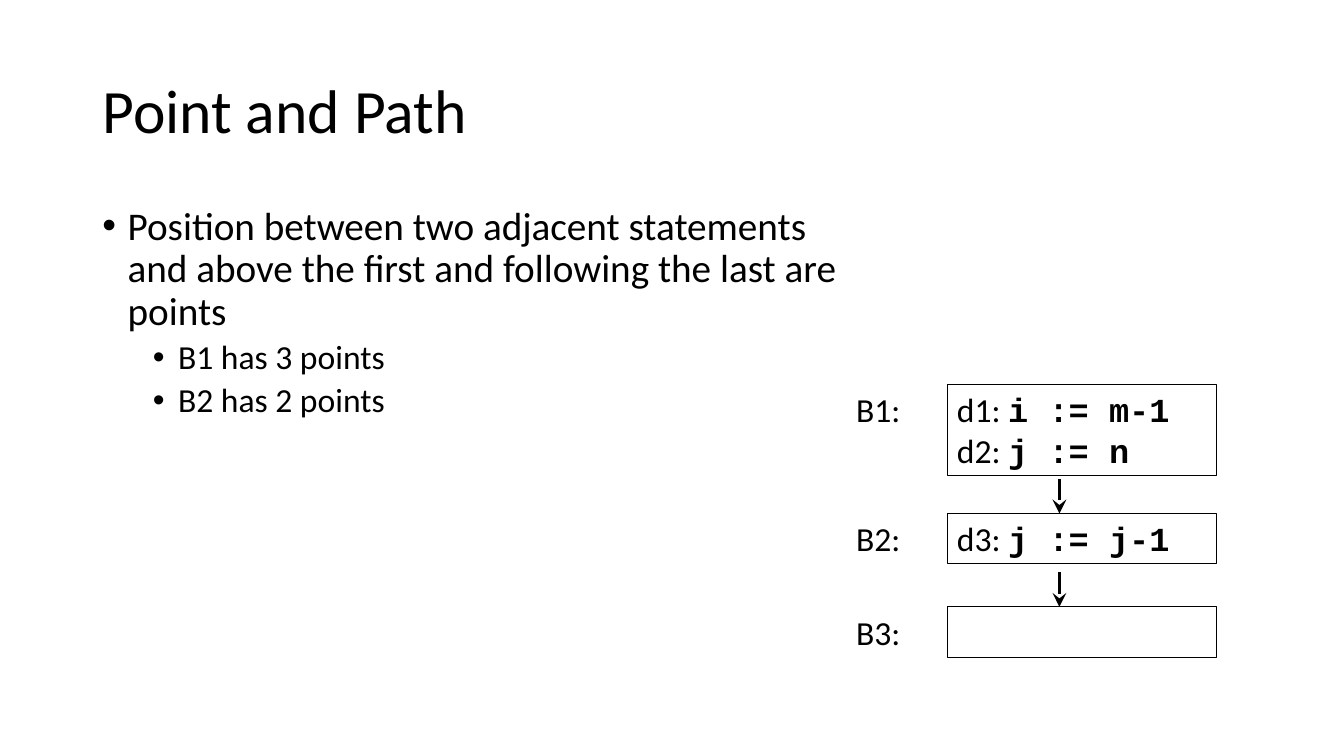
from dataclasses import dataclass

from lxml import etree
from pptx import Presentation
from pptx.dml.color import RGBColor
from pptx.enum.shapes import MSO_CONNECTOR, MSO_SHAPE
from pptx.enum.text import MSO_ANCHOR, MSO_AUTO_SIZE, PP_ALIGN
from pptx.oxml.ns import qn
from pptx.slide import Slide
from pptx.text.text import TextFrame
from pptx.util import Emu, Pt

STRAIGHT = MSO_CONNECTOR.STRAIGHT
RECTANGLE = MSO_SHAPE.RECTANGLE
TOP, MIDDLE = MSO_ANCHOR.TOP, MSO_ANCHOR.MIDDLE
NO_FIT, GROW = MSO_AUTO_SIZE.NONE, MSO_AUTO_SIZE.SHAPE_TO_FIT_TEXT
LEFT = PP_ALIGN.LEFT

BLACK = RGBColor(0x00, 0x00, 0x00)
TEXT_FONT, CODE_FONT = "Calibri", "Courier New"

EMU_PER_PX = 9525
LABEL_LEFT, LABEL_WIDTH, LABEL_HEIGHT = 806, 68, 48
BOX_LEFT, BOX_WIDTH = 902, 257
ARROW_X, ARROW_LENGTH = 1009, 33


@dataclass(frozen=True)
class Bullet:
    text: str
    level: int
    size: int
    space_before: int
    indent: int


@dataclass(frozen=True)
class Block:
    label: str
    top: int
    height: int
    statements: tuple[tuple[str, str], ...] = ()


BULLETS = (
    Bullet("Position between two adjacent statements and above the first "
           "and following the last are points", 0, 28, 10, 24),
    Bullet("B1 has 3 points", 1, 24, 5, 72),
    Bullet("B2 has 2 points", 1, 24, 5, 72),
)
BLOCKS = (
    Block("B1:", 366, 87, (("d1: ", "i := m-1"), ("d2: ", "j := n"))),
    Block("B2:", 489, 48, (("d3: ", "j := j-1"),)),
    Block("B3:", 578, 48),
)


def px(length: int) -> Emu:
    return Emu(length * EMU_PER_PX)


def set_attributes(target: object, values: dict) -> None:
    for name, value in values.items():
        setattr(target, name, value)


def place(shape: object, left: int, top: int, width: int, height: int) -> None:
    set_attributes(shape, {"left": px(left), "top": px(top),
                           "width": px(width), "height": px(height)})


def add_run(paragraph: object, text: str, size: int,
            name: str = TEXT_FONT, bold: bool = False) -> None:
    run = paragraph.add_run()
    run.text = text
    set_attributes(run.font, {"name": name, "size": Pt(size), "bold": bold})
    run.font.color.rgb = BLACK


def fill_title(slide: Slide) -> None:
    title = slide.shapes.title
    place(title, 88, 39, 1104, 139)
    set_attributes(title.text_frame, {"vertical_anchor": MIDDLE, "auto_size": NO_FIT})
    paragraph = title.text_frame.paragraphs[0]
    set_attributes(paragraph, {"alignment": LEFT, "line_spacing": 0.9})
    add_run(paragraph, "Point and Path", 44)


def add_bullet(frame: TextFrame, bullet: Bullet, first: bool) -> None:
    paragraph = frame.paragraphs[0] if first else frame.add_paragraph()
    set_attributes(paragraph, {"level": bullet.level, "line_spacing": 0.9,
                               "space_before": Pt(bullet.space_before)})
    properties = paragraph._p.get_or_add_pPr()
    properties.set("marL", str(px(bullet.indent)))
    properties.set("indent", str(px(-24)))
    etree.SubElement(properties, qn("a:buFont")).set("typeface", "Arial")
    etree.SubElement(properties, qn("a:buChar")).set("char", "•")
    add_run(paragraph, bullet.text, bullet.size)


def fill_body(slide: Slide) -> None:
    body = slide.placeholders[1]
    place(body, 88, 192, 718, 457)
    set_attributes(body.text_frame, {"vertical_anchor": TOP, "auto_size": NO_FIT})
    for index, bullet in enumerate(BULLETS):
        add_bullet(body.text_frame, bullet, index == 0)


def add_box(slide: Slide, block: Block) -> None:
    box = slide.shapes.add_shape(RECTANGLE, px(BOX_LEFT), px(block.top),
                                 px(BOX_WIDTH), px(block.height))
    box.shadow.inherit = False
    box.fill.background()
    box.line.color.rgb = BLACK
    box.line.width = Pt(0.75)
    if not block.statements:
        return
    set_attributes(box.text_frame, {"word_wrap": True, "vertical_anchor": TOP,
                                    "auto_size": GROW})
    paragraph = box.text_frame.paragraphs[0]
    paragraph.alignment = LEFT
    for index, (name, code) in enumerate(block.statements):
        if index:
            paragraph.add_line_break()
        add_run(paragraph, name, 24)
        add_run(paragraph, code, 24, CODE_FONT, True)


def add_label(slide: Slide, block: Block) -> None:
    label = slide.shapes.add_textbox(px(LABEL_LEFT), px(block.top),
                                     px(LABEL_WIDTH), px(LABEL_HEIGHT))
    set_attributes(label.text_frame, {"word_wrap": True, "auto_size": NO_FIT})
    paragraph = label.text_frame.paragraphs[0]
    paragraph.alignment = LEFT
    add_run(paragraph, block.label, 24)


def add_arrow(slide: Slide, tip: int) -> None:
    arrow = slide.shapes.add_connector(STRAIGHT, px(ARROW_X), px(tip - ARROW_LENGTH),
                                       px(ARROW_X), px(tip))
    arrow.line.color.rgb = BLACK
    arrow.line.width = Pt(2)
    head = etree.SubElement(arrow.line._get_or_add_ln(), qn("a:tailEnd"))
    for name, value in {"type": "stealth", "w": "lg", "len": "lg"}.items():
        head.set(name, value)
    etree.SubElement(arrow._element.spPr, qn("a:effectLst"))


def main() -> None:
    presentation = Presentation()
    presentation.slide_width, presentation.slide_height = px(1280), px(720)
    slide = presentation.slides.add_slide(presentation.slide_layouts[1])

    # Title and list
    fill_title(slide)
    fill_body(slide)

    # Flow graph: labelled blocks, with an arrow into each block after the first
    for index, block in enumerate(BLOCKS):
        add_box(slide, block)
        add_label(slide, block)
        if index:
            add_arrow(slide, block.top)

    presentation.save("out.pptx")


if __name__ == "__main__":
    main()
